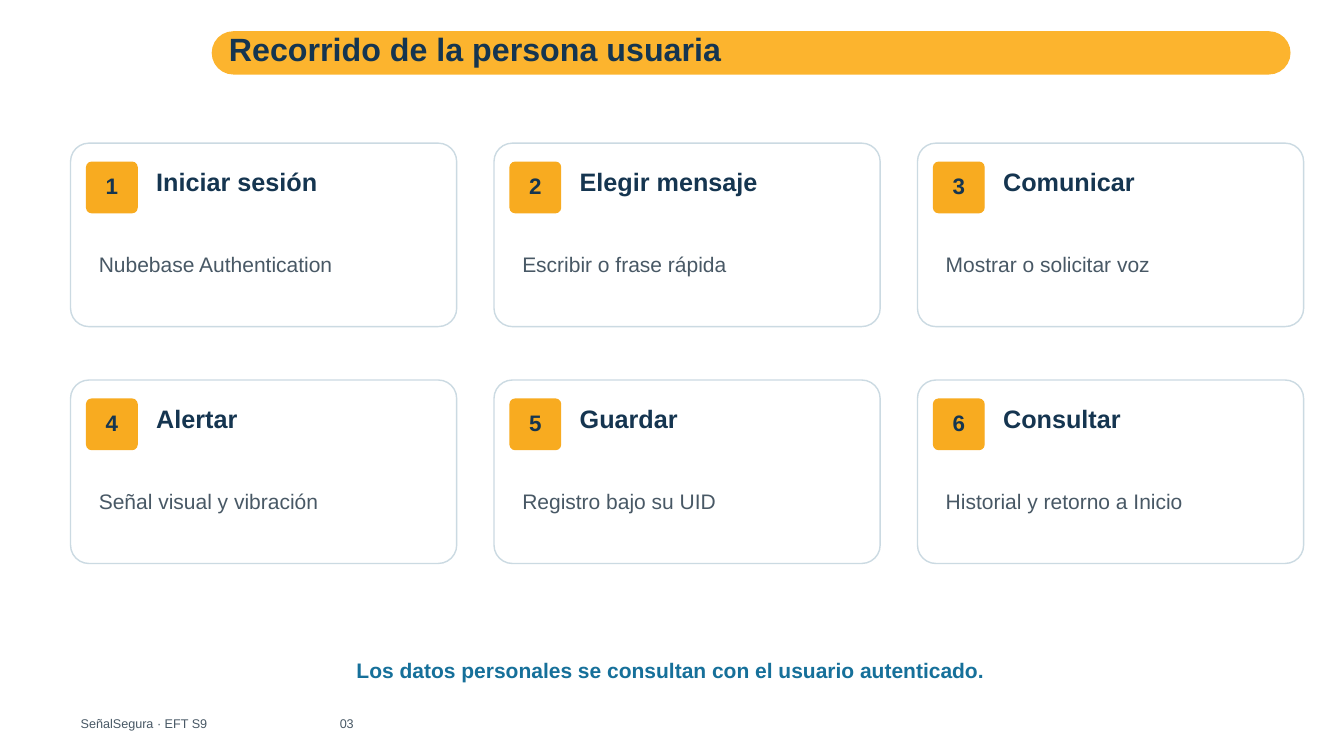
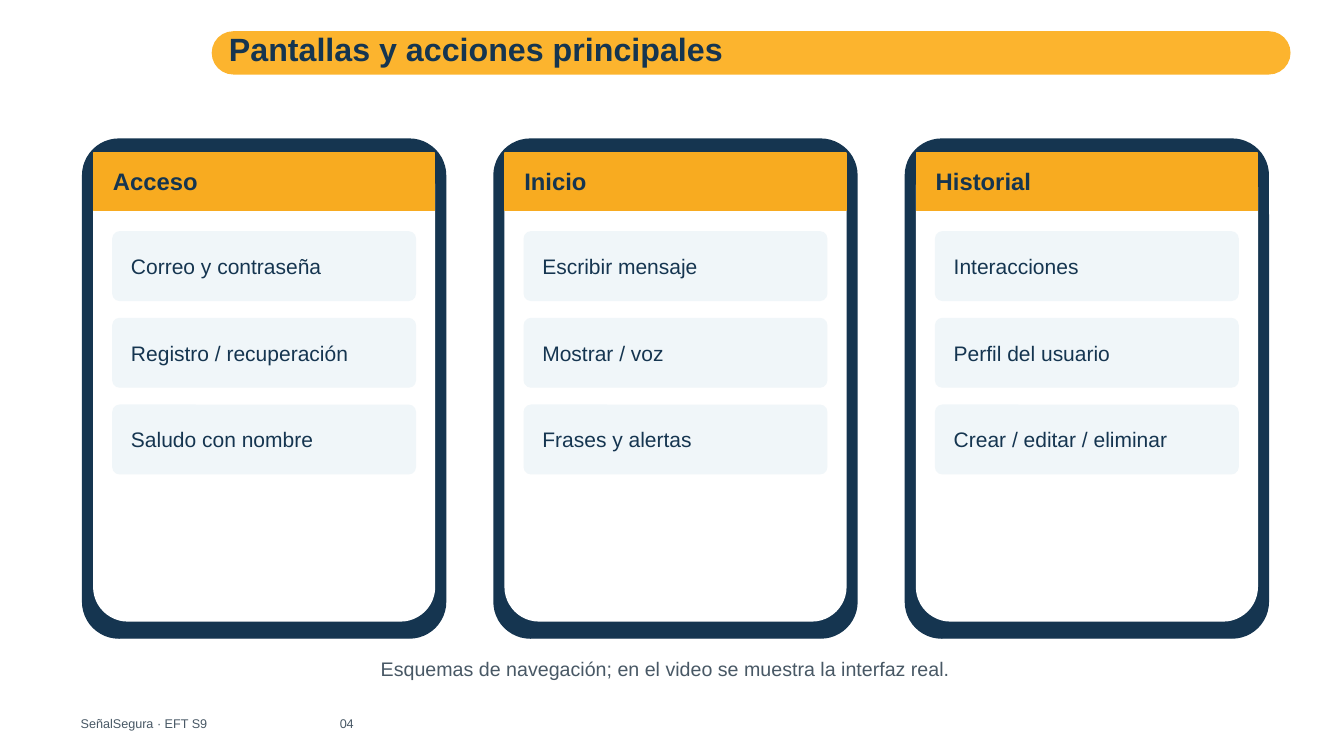
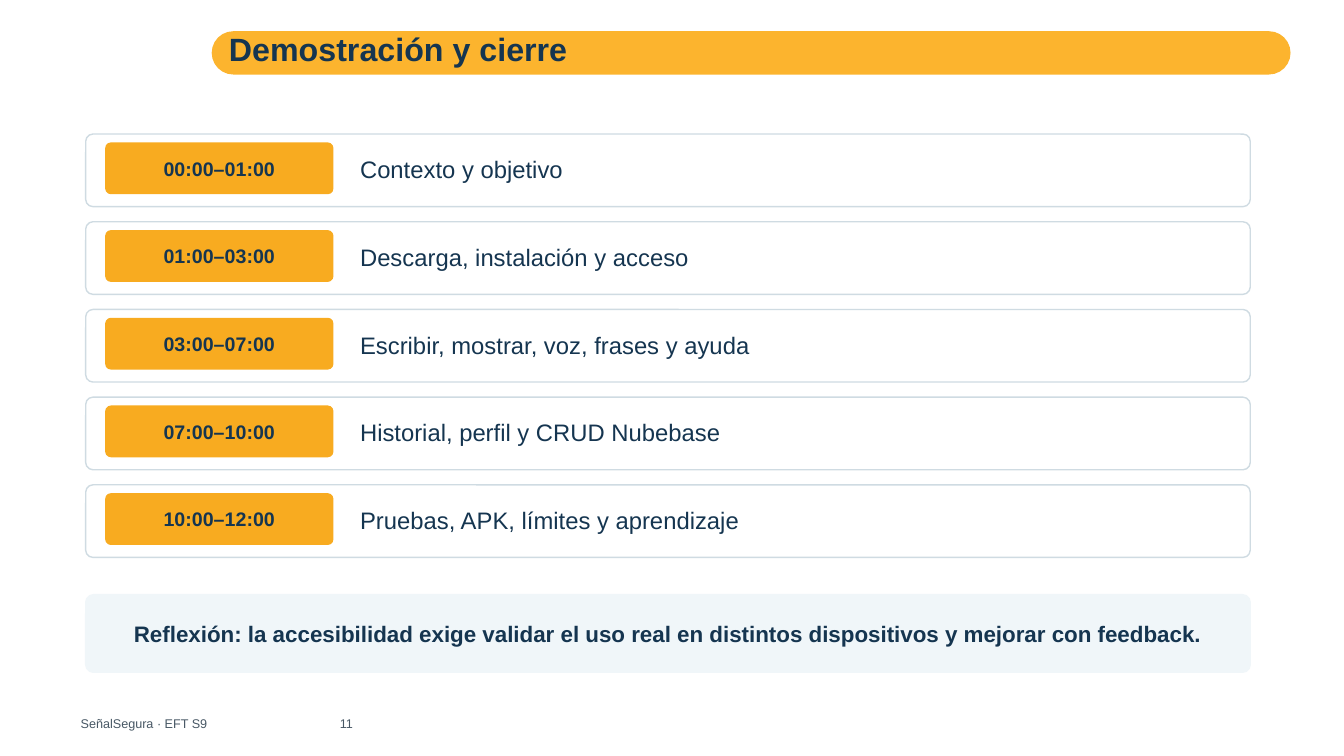
from lxml.etree import SubElement
from pptx import Presentation
from pptx.dml.color import RGBColor as Rgb
from pptx.enum.shapes import MSO_SHAPE as Kind
from pptx.enum.text import MSO_ANCHOR as Anchor, MSO_AUTO_SIZE as Auto, PP_ALIGN as Align
from pptx.oxml.ns import qn
from pptx.util import Inches, Pt

HUES = {
    "band": "FCB42E", "gold": "F8AB20", "navy": "153550", "gray": "485865",
    "blue": "16709A", "pale": "F0F6F9", "white": "FFFFFF",
    "edge": "CBDAE2", "rule": "CFDBE2",
}
FONT = "Arial"
INSET = (0.05, 0.05, 0.05, 0.05)
BAND = (2.1, 0.31, 10.7, 0.43)
TITLE = (2.22, 0.21, 9.9, 0.55)
FOOT = (0.75, 7.07, 11.9, 0.22)
STEPS = [
    ("Iniciar sesión", "Nubebase Authentication"),
    ("Elegir mensaje", "Escribir o frase rápida"),
    ("Comunicar", "Mostrar o solicitar voz"),
    ("Alertar", "Señal visual y vibración"),
    ("Guardar", "Registro bajo su UID"),
    ("Consultar", "Historial y retorno a Inicio"),
]
SCREENS = [
    ("Acceso", ["Correo y contraseña", "Registro / recuperación", "Saludo con nombre"]),
    ("Inicio", ["Escribir mensaje", "Mostrar / voz", "Frases y alertas"]),
    ("Historial", ["Interacciones", "Perfil del usuario", "Crear / editar / eliminar"]),
]
AGENDA = [
    ("00:00–01:00", "Contexto y objetivo"),
    ("01:00–03:00", "Descarga, instalación y acceso"),
    ("03:00–07:00", "Escribir, mostrar, voz, frases y ayuda"),
    ("07:00–10:00", "Historial, perfil y CRUD Nubebase"),
    ("10:00–12:00", "Pruebas, APK, límites y aprendizaje"),
]


def color(name):
    return Rgb.from_string(HUES[name])


def inner(box, left, top, width, height):
    return box[0] + left, box[1] + top, width, height


def grid(box, cols, rows, gap_x=0, gap_y=0):
    left, top, width, height = box
    wide = (width - gap_x * (cols - 1)) / cols
    high = (height - gap_y * (rows - 1)) / rows
    return [(left + col * (wide + gap_x), top + row * (high + gap_y), wide, high)
            for row in range(rows) for col in range(cols)]


def place(shape, box):
    shape.left, shape.top, shape.width, shape.height = map(Inches, box)


def write(shape, text, size, hue="navy", bold=False, align=Align.LEFT, inset=INSET, tab=None):
    frame = shape.text_frame
    frame.text = text
    frame.word_wrap = True
    frame.auto_size = Auto.NONE
    frame.vertical_anchor = Anchor.MIDDLE
    (frame.margin_left, frame.margin_top,
     frame.margin_right, frame.margin_bottom) = map(Inches, inset)
    para = frame.paragraphs[0]
    para.alignment = align
    para.space_after = Pt(3)
    if tab:
        tabs = SubElement(para._p.get_or_add_pPr(), qn("a:tabLst"))
        SubElement(tabs, qn("a:tab"), pos=str(Inches(tab)), algn="l")
    for run in para.runs:
        font = run.font
        font.name, font.size, font.bold = FONT, Pt(size), bold
        font.color.rgb = color(hue)


def label(slide, box, text, size, **look):
    write(slide.shapes.add_textbox(*map(Inches, box)), text, size, **look)


def panel(slide, box, fill, line=None, kind=Kind.ROUNDED_RECTANGLE, bend=0.1):
    shape = slide.shapes.add_shape(kind, *map(Inches, box))
    shape.shadow.inherit = False
    shape.fill.solid()
    shape.fill.fore_color.rgb = color(fill)
    shape.line.color.rgb = color(line or fill)
    shape.line.width = Pt(1)
    if kind == Kind.ROUNDED_RECTANGLE:
        shape.adjustments[0] = bend
    return shape


def brand(deck, layout):
    slide = deck.slides.add_slide(layout)
    band = panel(slide, BAND, "band", bend=0.5)
    band.line.fill.background()
    layout.shapes._spTree.insert(2, band._element)
    place(layout.placeholders[0], TITLE)
    return slide


def frame(slide, title, number):
    write(slide.shapes.title, title, 23, bold=True)
    label(slide, FOOT, f"SeñalSegura · EFT S9\t{number:02}", 9, hue="gray", tab=2.57)


def card(slide, box, number, title, detail):
    panel(slide, box, "white", "edge")
    chip = panel(slide, inner(box, 0.16, 0.19, 0.5, 0.5), "gold")
    write(chip, str(number), 16, bold=True, align=Align.CENTER, inset=(0, 0.05, 0, 0.09))
    label(slide, inner(box, 0.8, 0.17, 2.8, 0.42), title, 18, bold=True)
    label(slide, inner(box, 0.23, 0.84, 3.38, 0.73), detail, 15, hue="gray")


def phone(slide, box, title, actions):
    panel(slide, box, "navy")
    panel(slide, inner(box, 0.11, 0.14, 3.38, 4.64), "white")
    head = panel(slide, inner(box, 0.11, 0.14, 3.38, 0.57), "gold", kind=Kind.RECTANGLE)
    write(head, title, 17, bold=True, inset=(0.19, 0.04, 0.05, 0.06))
    for cell, action in zip(grid(inner(box, 0.3, 0.92, 3, 2.4), 1, 3, gap_y=0.18), actions):
        write(panel(slide, cell, "pale"), action, 15, inset=(0.16, 0.05, 0.05, 0.05))


def slot(slide, box, time, topic):
    row = panel(slide, box, "white", "rule")
    write(row, topic, 17, inset=(2.7, 0.04, 0.05, 0.06))
    pill = panel(slide, inner(box, 0.2, 0.09, 2.25, 0.5), "gold")
    write(pill, time, 14, bold=True, align=Align.CENTER)


def journey(slide):
    frame(slide, "Recorrido de la persona usuaria", 3)
    cells = grid((0.7, 1.42, 12.23, 4.17), 3, 2, 0.37, 0.53)
    for number, (cell, step) in enumerate(zip(cells, STEPS), 1):
        card(slide, cell, number, *step)
    label(slide, (1, 6.46, 11.3, 0.37),
          "Los datos personales se consultan con el usuario autenticado.",
          15, hue="blue", bold=True, align=Align.CENTER)


def screens(slide):
    frame(slide, "Pantallas y acciones principales", 4)
    for cell, screen in zip(grid((0.82, 1.38, 11.76, 4.95), 3, 1, 0.48), SCREENS):
        phone(slide, cell, *screen)
    label(slide, (1.05, 6.48, 11.1, 0.3),
          "Esquemas de navegación; en el video se muestra la interfaz real.",
          14, hue="gray", align=Align.CENTER)


def closing(slide):
    frame(slide, "Demostración y cierre", 11)
    for cell, entry in zip(grid((0.85, 1.33, 11.55, 4.2), 1, 5, gap_y=0.15), AGENDA):
        slot(slide, cell, *entry)
    write(panel(slide, (0.85, 5.9, 11.55, 0.77), "pale"),
          "Reflexión: la accesibilidad exige validar el uso real en distintos "
          "dispositivos y mejorar con feedback.",
          16, bold=True, align=Align.CENTER)


def main():
    deck = Presentation()
    deck.slide_width, deck.slide_height = Inches(13.33), Inches(7.5)
    layout = deck.slide_layouts[5]
    journey(brand(deck, layout))
    for build in (screens, closing):
        build(deck.slides.add_slide(layout))
    deck.save("out.pptx")


if __name__ == "__main__":
    main()
